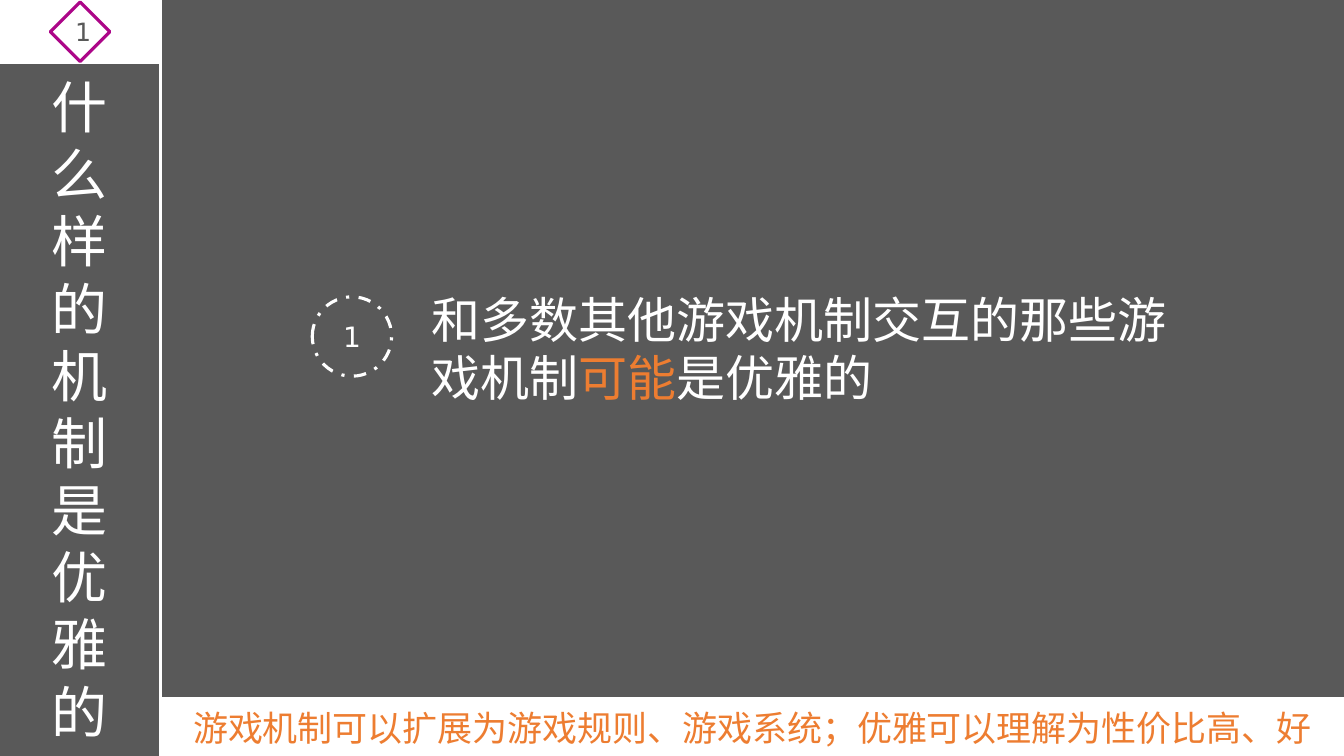
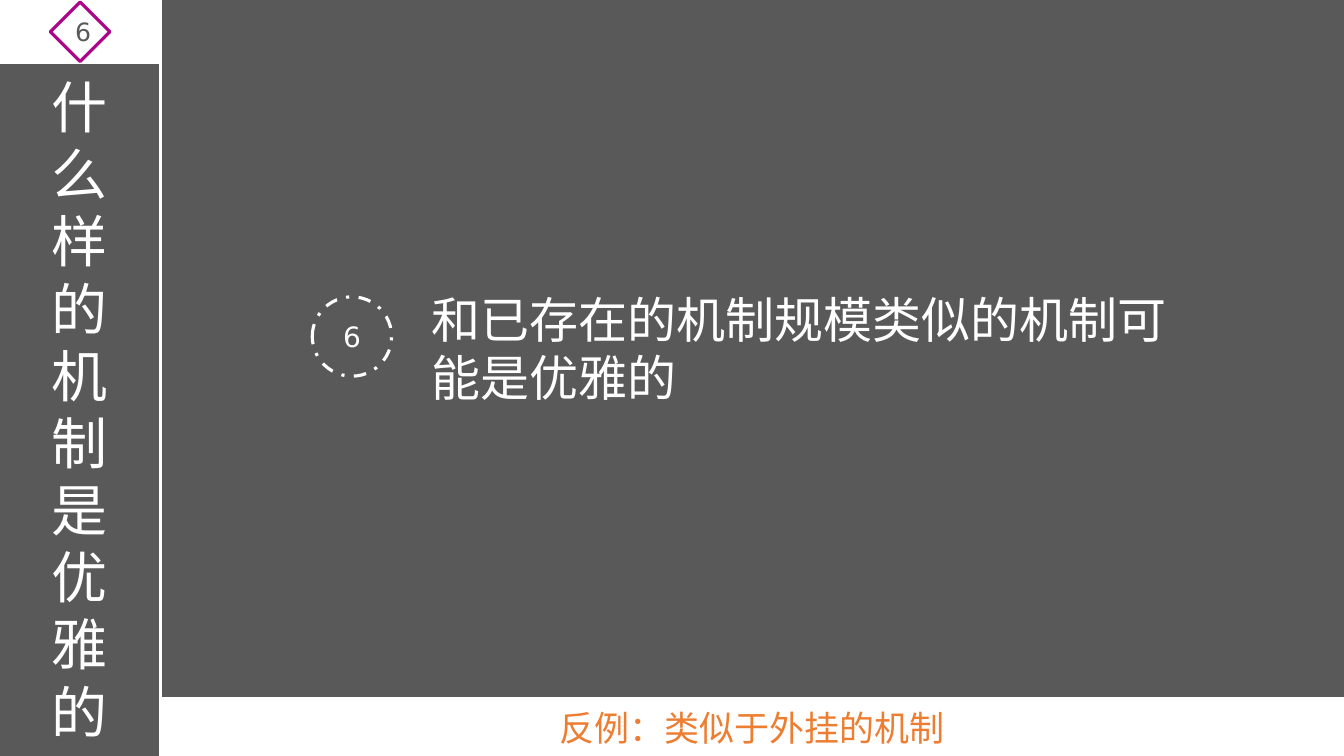
from dataclasses import dataclass

from lxml.etree import SubElement
from pptx import Presentation
from pptx.dml.color import RGBColor
from pptx.enum.dml import MSO_LINE
from pptx.enum.shapes import MSO_CONNECTOR, MSO_SHAPE
from pptx.enum.text import MSO_ANCHOR, MSO_AUTO_SIZE, PP_ALIGN
from pptx.oxml.ns import qn
from pptx.util import Cm, Pt

COLORS = {
    "gray": "595959",
    "white": "FFFFFF",
    "purple": "AC0688",
    "orange": "ED7D31",
}
FONT = "DejaVu Sans"
TITLE = "什么样的机制是优雅的"


@dataclass
class Box:
    """An area of the slide, in centimetres."""
    left: float
    top: float
    width: float
    height: float

    def place(self, left, top, width, height):
        """Return slide lengths of an area given relative to this box."""
        return Cm(self.left + left), Cm(self.top + top), Cm(width), Cm(height)


PAGE = Box(0, 0, 33.87, 19.05)
SIDEBAR = Box(0, 0, 4.04, PAGE.height)
FOOTER = Box(SIDEBAR.width, 17.6, PAGE.width - SIDEBAR.width, 1.45)
CONTENT = Box(SIDEBAR.width, 0, FOOTER.width, FOOTER.top)

# Each statement is a list of (text, colour) spans.
PAGES = [
    (1,
     [("和多数其他游戏机制交互的那些游戏机制", "white"),
      ("可能", "orange"),
      ("是优雅的", "white")],
     "游戏机制可以扩展为游戏规则、游戏系统；优雅可以理解为性价比高、好"),
    (6,
     [("和已存在的机制规模类似的机制可能是优雅的", "white")],
     "反例：类似于外挂的机制"),
]


def rgb(name):
    return RGBColor.from_string(COLORS[name])


def write(frame, spans, size, align=PP_ALIGN.CENTER, anchor=MSO_ANCHOR.MIDDLE):
    """Fill a text frame with one paragraph of (text, colour) spans."""
    frame.word_wrap = True
    frame.auto_size = MSO_AUTO_SIZE.NONE
    frame.vertical_anchor = anchor
    para = frame.paragraphs[0]
    para.alignment = align
    para.font.name = FONT
    para.font.size = Pt(size)
    para.font.color.rgb = rgb(spans[0][1])
    for text, color in spans:
        span = para.add_run()
        span.text = text
        if color != spans[0][1]:
            span.font.color.rgb = rgb(color)


def add_outline(shapes, kind, place, line, width, fill=None):
    """Add a preset shape without shadow, filled only when a fill is named."""
    shape = shapes.add_shape(kind, *place)
    shape.shadow.inherit = False
    if fill:
        shape.fill.solid()
        shape.fill.fore_color.rgb = rgb(fill)
    else:
        shape.fill.background()
    shape.line.color.rgb = rgb(line)
    shape.line.width = Pt(width)
    return shape


def add_sidebar(slide, box, number):
    divider = slide.shapes.add_connector(
        MSO_CONNECTOR.STRAIGHT, Cm(box.left + box.width), Cm(box.top),
        Cm(box.left + box.width), Cm(box.top + box.height))
    divider.line.color.rgb = rgb("white")
    divider.line.width = Pt(2.25)
    SubElement(divider._element.spPr, qn("a:effectLst"))

    title = slide.shapes.title
    title.left, title.top, title.width, title.height = box.place(
        0.71, 1.7, 2.6, box.height - 1.7)
    write(title.text_frame, [(TITLE, "white")], 40, anchor=MSO_ANCHOR.TOP)

    header = slide.shapes.add_group_shape()
    add_outline(header.shapes, MSO_SHAPE.RECTANGLE,
                box.place(0, 0, box.width, 1.6), "white", 1.5, "white")
    diamond = add_outline(header.shapes, MSO_SHAPE.DIAMOND,
                          box.place((box.width - 1.5) / 2, 0.05, 1.5, 1.5),
                          "purple", 2.25)
    write(diamond.text_frame, [(str(number), "gray")], 18)


def add_statement(slide, box, number, spans):
    statement = slide.shapes.add_textbox(*box.place(6.58, 7.16, 19.4, 3.25))
    write(statement.text_frame, spans, 35, PP_ALIGN.LEFT, MSO_ANCHOR.TOP)

    circle = add_outline(slide.shapes, MSO_SHAPE.OVAL,
                         box.place(3.83, 7.48, 2, 2), "white", 2.25)
    circle.line.dash_style = MSO_LINE.DASH_DOT
    write(circle.text_frame, [(str(number), "white")], 20)


def add_footer(slide, box, note):
    band = add_outline(slide.shapes, MSO_SHAPE.RECTANGLE,
                       box.place(0, 0, box.width, box.height),
                       "white", 1.5, "white")
    write(band.text_frame, [(note, "orange")], 25)


def add_page(deck, number, spans, note):
    slide = deck.slides.add_slide(deck.slide_layouts.get_by_name("Title Only"))
    slide.background.fill.solid()
    slide.background.fill.fore_color.rgb = rgb("gray")
    add_sidebar(slide, SIDEBAR, number)
    add_statement(slide, CONTENT, number, spans)
    add_footer(slide, FOOTER, note)


def main():
    deck = Presentation()
    deck.slide_width = Cm(PAGE.width)
    deck.slide_height = Cm(PAGE.height)
    for number, spans, note in PAGES:
        add_page(deck, number, spans, note)
    deck.save("out.pptx")


if __name__ == "__main__":
    main()
